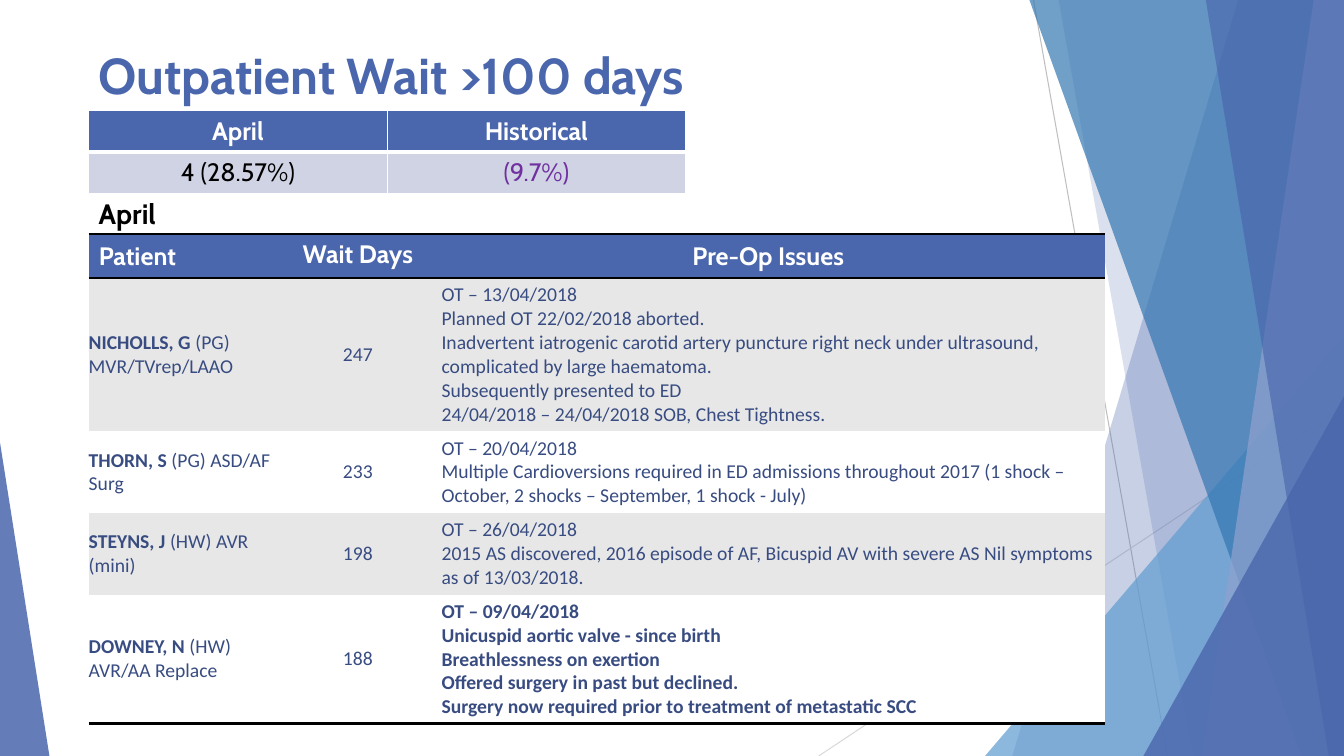
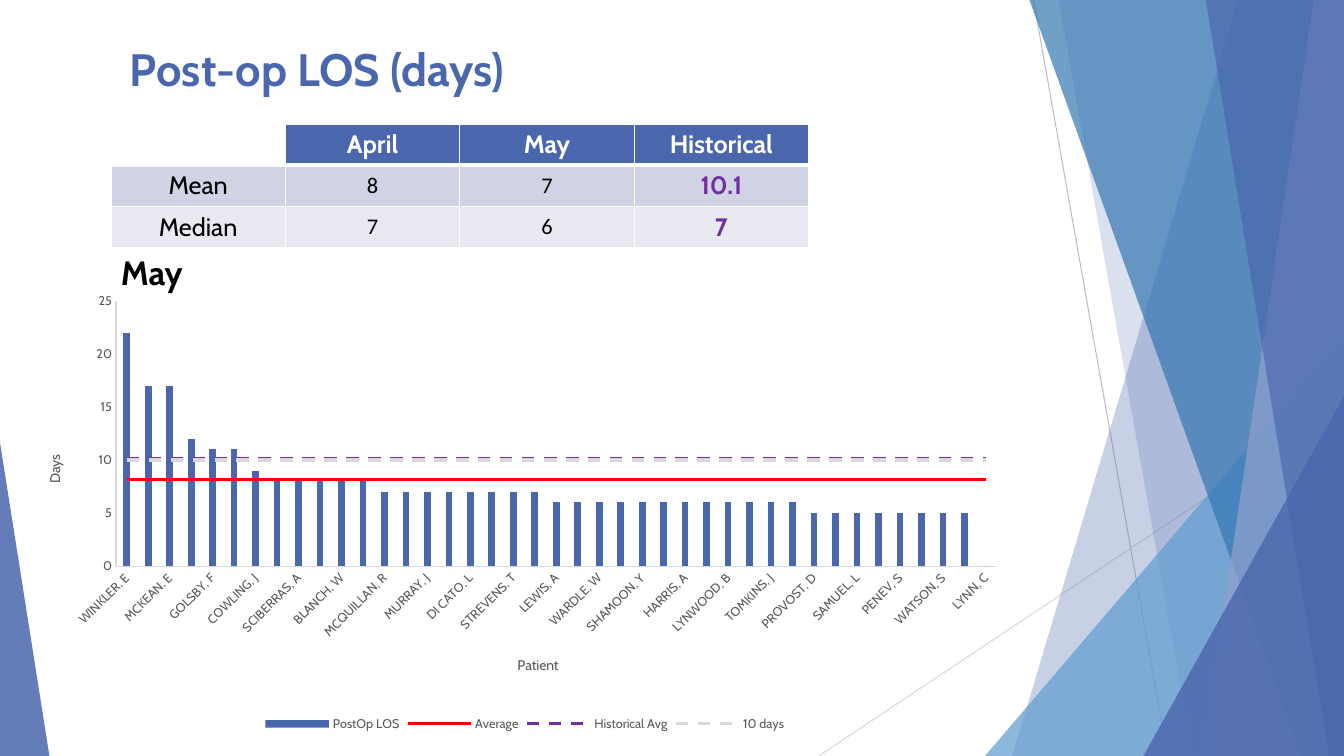
from lxml import etree
from pptx import Presentation
from pptx.chart.data import CategoryChartData
from pptx.dml.color import RGBColor
from pptx.enum.chart import XL_CHART_TYPE, XL_LEGEND_POSITION, XL_TICK_MARK
from pptx.enum.dml import MSO_LINE
from pptx.enum.shapes import MSO_CONNECTOR, MSO_SHAPE
from pptx.enum.text import MSO_ANCHOR, PP_ALIGN
from pptx.oxml.ns import qn
from pptx.util import Inches, Pt

LEFT, CENTER = PP_ALIGN.LEFT, PP_ALIGN.CENTER
TOP, MIDDLE = MSO_ANCHOR.TOP, MSO_ANCHOR.MIDDLE
NO_TICK, DASH = XL_TICK_MARK.NONE, MSO_LINE.DASH

INDIGO, SKY, OCEAN, LAVENDER, NAVY = map(
    RGBColor.from_string, ("4A66AC", "629DD1", "3477B2", "90A2CF", "384C81"))
PURPLE, RED, BLACK, WHITE = map(
    RGBColor.from_string, ("7030A0", "FF0000", "000000", "FFFFFF"))
SILVER, PALE_GREY, ROW_GREY, AXIS_GREY = map(
    RGBColor.from_string, ("BFBFBF", "D9D9D9", "E7E7E7", "595959"))
BAND_DARK, BAND_LIGHT = map(RGBColor.from_string, ("D0D3E3", "E9EAF1"))

HEAD_FONT, BODY_FONT = "Cabin", "Calibri"
SLIDE_W, SLIDE_H = 13.33, 7.5
NO_GRID_STYLE = "{2D5ABB26-0587-4C30-8999-92F81FD0307C}"

# Text styles: font, size, colour, bold
HEADER = (HEAD_FONT, 18, WHITE, True)
LABEL = (HEAD_FONT, 18, BLACK, False)
HISTORICAL = (HEAD_FONT, 18, PURPLE, False)
HISTORICAL_BOLD = (HEAD_FONT, 18, PURPLE, True)
FIGURE = (BODY_FONT, 16, BLACK, False)
DETAIL = (BODY_FONT, 14, NAVY, False)
DETAIL_BOLD = (BODY_FONT, 14, NAVY, True)
AXIS_TITLE = (HEAD_FONT, 10, AXIS_GREY, False)
AXIS_LABEL = (HEAD_FONT, 9, AXIS_GREY, False)

# Cell borders: side -> colour, points
WHITE_GRID = {side: (WHITE, 1) for side in "LRTB"}
WHITE_HEADER = {**WHITE_GRID, "B": (WHITE, 3)}
BLACK_HEADER = {"T": (BLACK, 2), "B": (BLACK, 2)}
BLACK_FOOT = {"B": (BLACK, 2)}

# Backdrop, back to front
HAIRLINES = [((10.25, 0), (11.58, SLIDE_H), SILVER),
             ((SLIDE_W, 4.03), (8.12, SLIDE_H), PALE_GREY)]
# band: x at top, x at bottom; peak: left, right, top, apex; then colour, opacity %
FACETS = [
    ("band", (12.28, 10.04), INDIGO, 30),
    ("band", (10.5, 11.83), INDIGO, 20),
    ("peak", (9.77, SLIDE_W, 3.33, 1), SKY, 72),
    ("band", (10.21, 12.91), OCEAN, 70),
    ("band", (13.03, 11.92), LAVENDER, 70),
    ("band", (11.96, 13.18), INDIGO, 65),
    ("peak", (11.34, SLIDE_W, 3.93, 1), INDIGO, 80),
    ("peak", (0, 0.49, 4.39, 0), INDIGO, 85),
]

# Patients: name, procedure, wait days, pre-op issues, row height, issue style
PATIENTS = [
    ("NICHOLLS, G ", "(PG) MVR/TVrep/LAAO", "247",
     ["OT – 13/04/2018", "Planned OT 22/02/2018 aborted.",
      "Inadvertent iatrogenic carotid artery puncture right neck under ultrasound, "
      "complicated by large haematoma.",
      "Subsequently presented to ED", "24/04/2018 – 24/04/2018 SOB, Chest Tightness."],
     1.52, DETAIL),
    ("THORN, S ", "(PG) ASD/AF Surg", "233",
     ["OT – 20/04/2018", "Multiple Cardioversions required in ED admissions throughout 2017 "
      "(1 shock – October, 2 shocks – September, 1 shock - July)"], 0.81, DETAIL),
    ("STEYNS, J ", "(HW) AVR (mini)", "198",
     ["OT – 26/04/2018", "2015 AS discovered, 2016 episode of AF, Bicuspid AV with severe AS "
      "Nil symptoms as of 13/03/2018."], 0.81, DETAIL),
    ("DOWNEY, N", " (HW) AVR/AA Replace", "188",
     ["OT – 09/04/2018", "Unicuspid aortic valve - since birth", "Breathlessness on exertion",
      "Offered surgery in past but declined.",
      "Surgery now required prior to treatment of metastatic SCC"], 1.28, DETAIL_BOLD),
]

LOS_ROWS = [("Mean", "8", "7", "10.1", BAND_DARK), ("Median", "7", "6", "7", BAND_LIGHT)]

# Length of stay in days -> patients
STAYS = [
    (22, ["WINKLER, E"]),
    (17, ["RENWICK, P", "MCKEAN, E"]),
    (12, ["SIERRA, F"]),
    (11, ["GOLSBY, F", "SIMPSON, M"]),
    (9, ["COWLING, J"]),
    (8, ["OXENBRIDGE, P", "SCIBERRAS, A", "STEWART, J", "BLANCH, W", "JOHNSTON, A"]),
    (7, ["MCQUILLAN, R", "ROWSTHORNE, J", "MURRAY, J", "ADAMS, G", "DI CATO, L", "DAVY, K",
         "STREVENS, T", "BRADBURY, D"]),
    (6, ["LEWIS, A", "TRAJKOVSKI, V", "WARDLE, W", "FRANKLIN, T", "SHAMOON, Y", "BALDACCHINO, P",
         "HARRIS, A", "MCEWAN, D", "LYNWOOD, B", "DALEY, G", "TOMKINS, J", "HENDERSON, W"]),
    (5, ["PROVOST, D", "IVANISEVIC, M", "SAMUEL, L", "DOUGLAS, P", "PENEV, S", "MAHER, D",
         "WATSON, S", "KAPOOR, N"]),
    (0, ["LYNN, C"]),
]
REFERENCES = [("Average", 8.2, RED, None), ("Historical Avg", 10.1, PURPLE, DASH),
              ("10 days", 10, PALE_GREY, DASH)]

def style_font(font, style):
    font.name, font.size, font.bold = style[0], Pt(style[1]), style[3]
    font.color.rgb = style[2]

def write(frame, paragraphs, align=LEFT):
    """Each paragraph is a list of (text, style) runs."""
    for i, runs in enumerate(paragraphs):
        paragraph = frame.paragraphs[0] if i == 0 else frame.add_paragraph()
        paragraph.alignment = align
        for text, style in runs:
            run = paragraph.add_run()
            run.text = text
            style_font(run.font, style)

def add_heading(slide, text, box, size, color=BLACK, anchor=TOP):
    frame = slide.shapes.add_textbox(*map(Inches, box)).text_frame
    frame.word_wrap = True
    frame.vertical_anchor = anchor
    write(frame, [[(text, (HEAD_FONT, size, color, True))]])

def add_backdrop(slide):
    """Draw the facets once and move them to the layout the slides share."""
    shapes, parts = slide.shapes, []
    for start, end, color in HAIRLINES:
        hairline = shapes.add_connector(MSO_CONNECTOR.STRAIGHT, *map(Inches, start + end))
        hairline.line.color.rgb, hairline.line.width = color, Pt(0.75)
        etree.SubElement(hairline._element.spPr, qn("a:effectLst"))
        parts.append(hairline)
    for kind, geometry, color, opacity in FACETS:
        if kind == "band":
            top_x, bottom_x = geometry
            outline = shapes.build_freeform(Inches(top_x), 0)
            outline.add_line_segments([(Inches(x), Inches(y)) for x, y in (
                (SLIDE_W, 0), (SLIDE_W, SLIDE_H), (bottom_x, SLIDE_H))])
            facet = outline.convert_to_shape()
        else:
            left, right, top, apex = geometry
            facet = shapes.add_shape(MSO_SHAPE.ISOSCELES_TRIANGLE, *map(
                Inches, (left, top, right - left, SLIDE_H - top)))
            facet.adjustments[0] = apex
        facet.shadow.inherit = False
        facet.line.fill.background()
        facet.fill.solid()
        facet.fill.fore_color.rgb = color
        tint = facet._element.spPr.find(".//" + qn("a:srgbClr"))
        etree.SubElement(tint, qn("a:alpha"), val=str(opacity * 1000))
        parts.append(facet)
    for part in parts:
        slide.slide_layout.shapes._spTree.append(part._element)

def add_grid(slide, left, top, widths, heights):
    table = slide.shapes.add_table(len(heights), len(widths), *map(
        Inches, (left, top, sum(widths), sum(heights)))).table
    table.first_row = table.horz_banding = False
    table._tbl.tblPr.find(qn("a:tableStyleId")).text = NO_GRID_STYLE
    for column, width in zip(table.columns, widths):
        column.width = Inches(width)
    for row, height in zip(table.rows, heights):
        row.height = Inches(height)
    return table

def fill_cell(cell, paragraphs, fill, borders, align=CENTER, anchor=MIDDLE, flush=False):
    tc_pr = cell._tc.get_or_add_tcPr()
    for side, (color, points) in borders.items():
        edge = etree.SubElement(tc_pr, qn("a:ln" + side), w=str(Pt(points)))
        solid = etree.SubElement(edge, qn("a:solidFill"))
        etree.SubElement(solid, qn("a:srgbClr"), val=str(color))
    if fill is None:
        cell.fill.background()
    else:
        cell.fill.solid()
        cell.fill.fore_color.rgb = fill
    if flush:
        cell.margin_left = cell.margin_right = cell.margin_top = cell.margin_bottom = 0
    cell.vertical_anchor = anchor
    write(cell.text_frame, paragraphs, align)

def set_layout(parent, inner=False, **fractions):
    """Place a chart part by fractions of the chart."""
    for old in parent.findall(qn("c:layout")):
        parent.remove(old)
    layout = etree.Element(qn("c:layout"))
    parent.insert(0 if parent.find(qn("c:tx")) is None else 1, layout)
    manual = etree.SubElement(layout, qn("c:manualLayout"))
    target = {"layoutTarget": "inner"} if inner else {}
    for key, value in {**target, "xMode": "edge", "yMode": "edge", **fractions}.items():
        etree.SubElement(manual, qn("c:" + key), val=str(value))

def move_to_lines(columns, levels):
    """Turn the reference levels into a line plot on the same axes."""
    lines = etree.Element(qn("c:lineChart"))
    etree.SubElement(lines, qn("c:grouping"), val="standard")
    etree.SubElement(lines, qn("c:varyColors"), val="0")
    for series, (_, _, color, dash) in zip(levels, REFERENCES):
        series.format.line.color.rgb, series.format.line.width = color, Pt(2.25)
        if dash is not None:
            series.format.line.dash_style = dash
        ser = series._element
        for flag in ser.findall(qn("c:invertIfNegative")):
            ser.remove(flag)
        marker = etree.Element(qn("c:marker"))
        etree.SubElement(marker, qn("c:symbol"), val="none")
        ser.find(qn("c:cat")).addprevious(marker)
        for old in ser.findall(qn("c:smooth")):
            ser.remove(old)
        etree.SubElement(ser, qn("c:smooth"), val="0")
        lines.append(ser)
    etree.SubElement(lines, qn("c:marker"), val="1")
    for axis_id in columns.findall(qn("c:axId")):
        etree.SubElement(lines, qn("c:axId"), val=axis_id.get("val"))
    columns.addnext(lines)

def add_stay_chart(slide):
    data = CategoryChartData()
    data.categories = [name for _, names in STAYS for name in names]
    days = [stay for stay, names in STAYS for _ in names]
    data.add_series("PostOp LOS", days)
    for name, level, _, _ in REFERENCES:
        data.add_series(name, [level] * len(days))
    chart = slide.shapes.add_chart(XL_CHART_TYPE.COLUMN_CLUSTERED, *map(
        Inches, (0.32, 2.69, 9.77, 4.61)), data).chart
    style_font(chart.font, (HEAD_FONT, 10, BLACK, False))
    chart.has_title, chart.has_legend = False, True
    chart.legend.position = XL_LEGEND_POSITION.BOTTOM
    chart.legend.include_in_layout = False
    style_font(chart.legend.font, AXIS_LABEL)
    # Axes
    categories, values = chart.category_axis, chart.value_axis
    for axis, title, x, y in ((categories, "Patient", 0.49, 0.82), (values, "Days", 0.01, 0.39)):
        axis.has_major_gridlines = False
        axis.major_tick_mark = axis.minor_tick_mark = NO_TICK
        axis.format.line.color.rgb, axis.format.line.width = PALE_GREY, Pt(0.75)
        style_font(axis.tick_labels.font, AXIS_LABEL)
        write(axis.axis_title.text_frame, [[(title, AXIS_TITLE)]])
        set_layout(axis.axis_title._element, x=x, y=y)
    categories._element.find(".//" + qn("c:txPr") + "/" + qn("a:bodyPr")).set("rot", "-2700000")
    values.minimum_scale, values.maximum_scale, values.major_unit = 0, 25, 5
    values.tick_labels.number_format = "0"
    values.tick_labels.number_format_is_linked = False
    # Columns and reference lines
    columns = chart.plots[0]
    columns.vary_by_categories = False
    columns.gap_width, columns.overlap = 219, -27
    stays, *levels = columns.series
    stays.format.fill.solid()
    stays.format.fill.fore_color.rgb = INDIGO
    move_to_lines(columns._element, levels)
    set_layout(columns._element.getparent(), inner=True, x=0.085, y=0.064, w=0.894, h=0.571)

def build_wait_slide(slide):
    add_heading(slide, "Outpatient Wait >100 days", (0.88, 0.38, 9.26, 0.72), 36, INDIGO, MIDDLE)
    summary = add_grid(slide, 0.88, 1.1, [2.96] * 2, [0.41] * 2)
    for col, (title, value, style) in enumerate((("April", "4 (28.57%)", LABEL),
                                                 ("Historical", "(9.7%)", HISTORICAL))):
        fill_cell(summary.cell(0, col), [[(title, HEADER)]], INDIGO, WHITE_HEADER)
        fill_cell(summary.cell(1, col), [[(value, style)]], BAND_DARK, WHITE_GRID)
    add_heading(slide, "April", (0.88, 1.9, 9.26, 0.72), 20)
    waits = add_grid(slide, 0.88, 2.32, [1.94, 1.46, 6.68], [0.44] + [p[4] for p in PATIENTS])
    for col, (title, align, anchor) in enumerate((
            ("Patient", LEFT, MIDDLE), ("Wait Days", CENTER, TOP), ("Pre-Op Issues", CENTER, MIDDLE))):
        fill_cell(waits.cell(0, col), [[(title, HEADER)]], INDIGO, BLACK_HEADER, align, anchor)
    for row, (name, procedure, wait, issues, _, style) in enumerate(PATIENTS, 1):
        look = (ROW_GREY if row % 2 else WHITE, BLACK_FOOT if row == len(PATIENTS) else {})
        patient = [[(name, DETAIL_BOLD), (procedure, DETAIL)]]
        fill_cell(waits.cell(row, 0), patient, *look, LEFT, flush=True)
        fill_cell(waits.cell(row, 1), [[(wait, DETAIL)]], *look, flush=True)
        fill_cell(waits.cell(row, 2), [[(issue, style)] for issue in issues], *look, LEFT)

def build_stay_slide(slide):
    add_heading(slide, "Post-op LOS (days)", (1.19, 0.36, 8.51, 0.64), 32.4, INDIGO, MIDDLE)
    averages = add_grid(slide, 1.1, 1.23, [1.73] * 4, [0.41] * 3)
    fill_cell(averages.cell(0, 0), [], None, WHITE_HEADER)
    for col, title in enumerate(("April", "May", "Historical"), 1):
        fill_cell(averages.cell(0, col), [[(title, HEADER)]], INDIGO, WHITE_HEADER)
    for row, (*values, fill) in enumerate(LOS_ROWS, 1):
        for col, (value, style) in enumerate(zip(values, (LABEL, FIGURE, FIGURE, HISTORICAL_BOLD))):
            fill_cell(averages.cell(row, col), [[(value, style)]], fill, WHITE_GRID,
                      flush=style is FIGURE)
    add_stay_chart(slide)
    add_heading(slide, "May", (1.1, 2.45, 5.37, 0.72), 24)

def main():
    prs = Presentation()
    prs.slide_width, prs.slide_height = Inches(SLIDE_W), Inches(SLIDE_H)
    wait_slide, stay_slide = (prs.slides.add_slide(prs.slide_layouts[6]) for _ in range(2))
    add_backdrop(wait_slide)
    build_wait_slide(wait_slide)
    build_stay_slide(stay_slide)
    prs.save("out.pptx")

if __name__ == "__main__":
    main()
